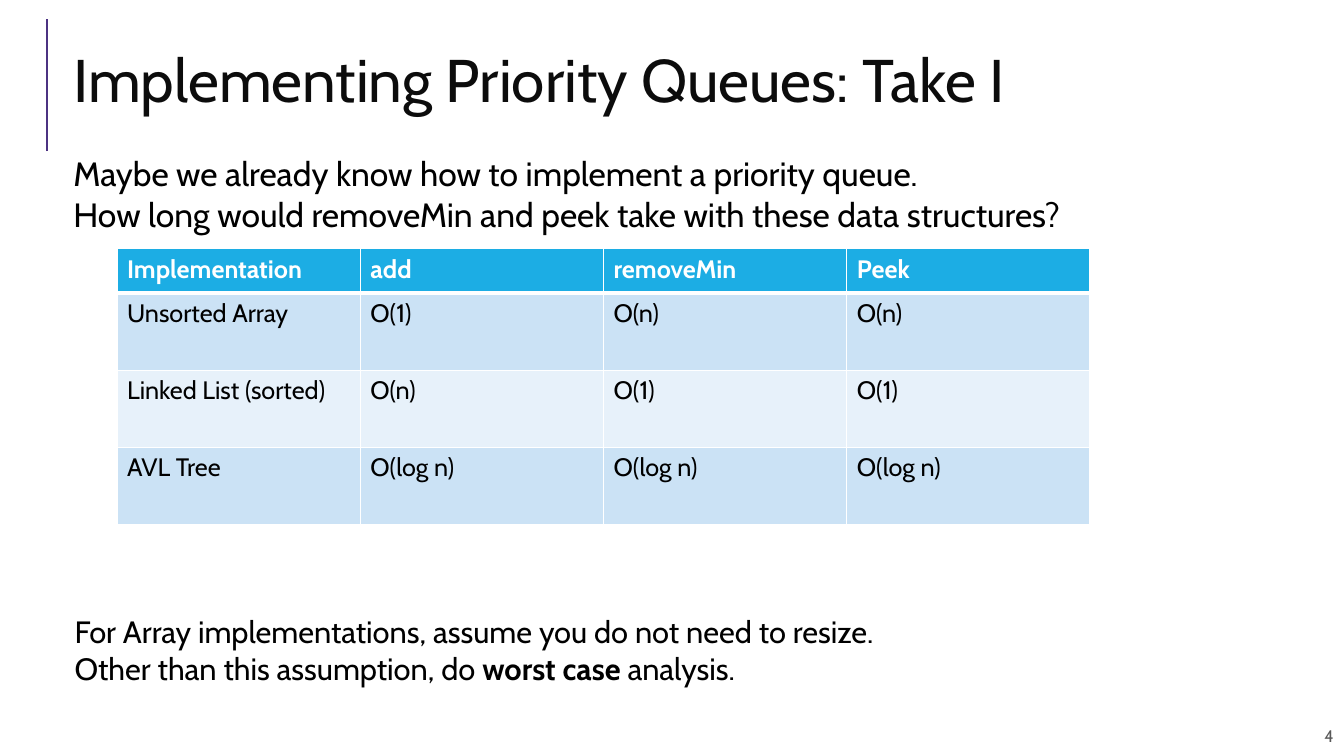
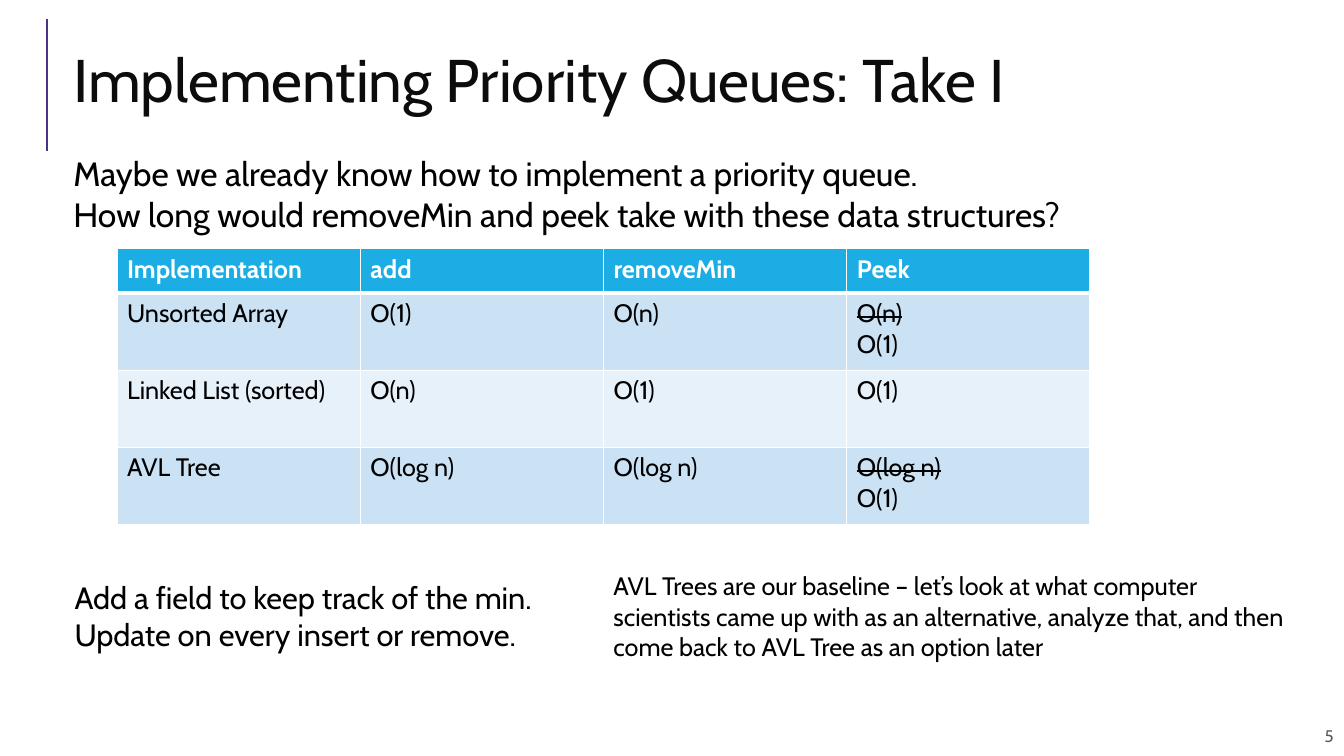
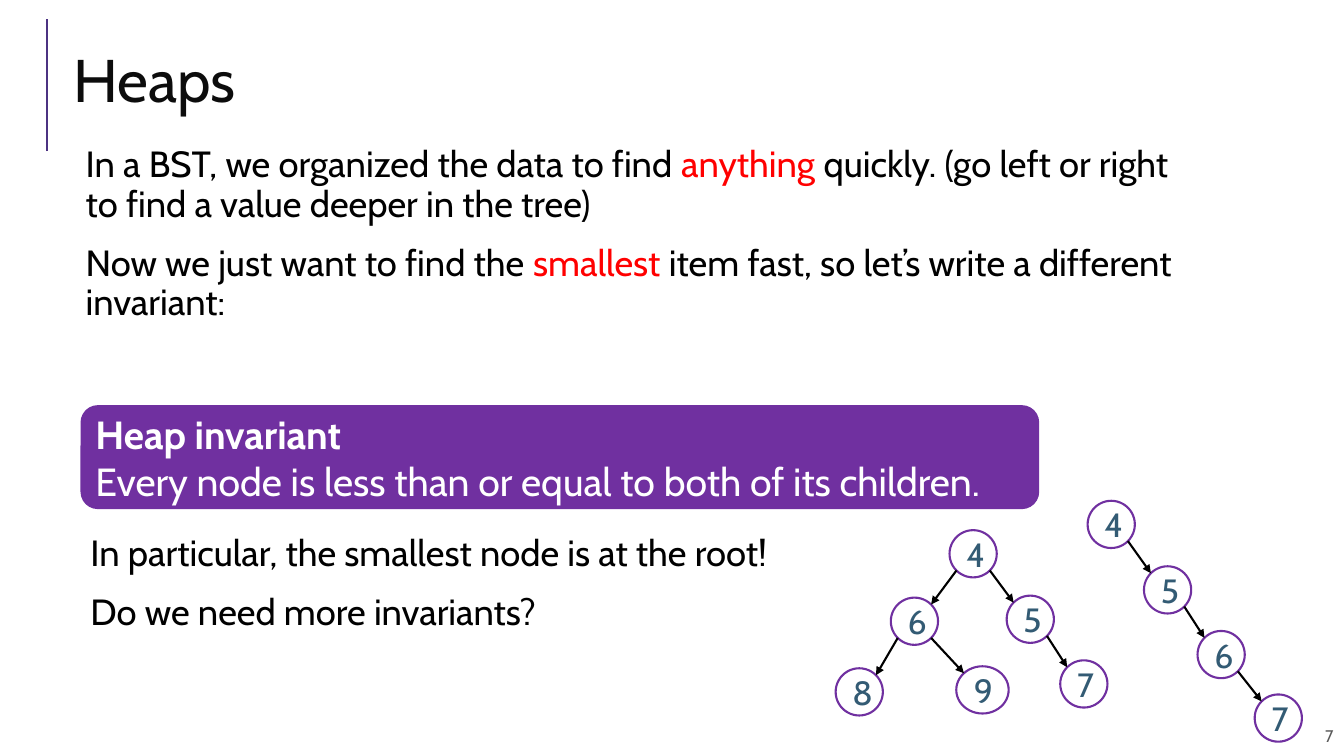
from dataclasses import dataclass
from math import sqrt
from typing import Optional

from lxml.etree import SubElement
from pptx import Presentation
from pptx.dml.color import RGBColor
from pptx.enum.shapes import MSO_CONNECTOR, MSO_SHAPE
from pptx.enum.text import MSO_ANCHOR, PP_ALIGN
from pptx.oxml.ns import qn
from pptx.util import Cm, Pt


@dataclass(frozen=True)
class Theme:
    font: str = "Cabin"
    black: str = "000000"
    white: str = "FFFFFF"
    title: str = "0C0C0C"
    number: str = "595959"
    accent_line: str = "4C3282"
    purple: str = "7030A0"
    node_text: str = "335B74"
    highlight: str = "FF0000"
    header: str = "1CADE4"
    bands: tuple = ("CBE2F5", "E7F1FA")
    title_size: float = 43
    callout_size: float = 28
    body_size: float = 26
    lead_size: float = 24
    remark_size: float = 22
    small_size: float = 18
    number_size: float = 12
    line_width: float = 1.5


@dataclass(frozen=True)
class Node:
    value: str
    left: float
    top: float
    parent: Optional[int] = None
    width: float = 1.19
    height: float = 1.19

    def corner(self, right, bottom):
        """Point on the circle halfway between two of its quarter points."""
        reach = sqrt(0.5) / 2
        return (self.left + self.width * (0.5 + (reach if right else -reach)),
                self.top + self.height * (0.5 + (reach if bottom else -reach)))


BOLD = {"bold": True}
STRUCK = {"strike": True}
RED = {"color": Theme.highlight}


class Slides:
    def __init__(self, theme):
        self.theme = theme
        self.deck = Presentation()
        self.deck.slide_width, self.deck.slide_height = Cm(33.87), Cm(19.05)
        self.page = None

    def new_page(self, title, number):
        theme = self.theme
        self.page = self.deck.slides.add_slide(self.deck.slide_layouts[6])
        self.line((1.19, 3.81), (1.19, 0.48), theme.accent_line)
        self.text((21.97, 18.03, 11.89, 1.02), [number], theme.number_size, theme.number,
                  inset=(0.25, 0.25), anchor=MSO_ANCHOR.MIDDLE, align=PP_ALIGN.RIGHT)
        self.text((1.6, 0.74, 31.06, 2.82), [title], theme.title_size, theme.title,
                  anchor=MSO_ANCHOR.MIDDLE, spacing=0.8)

    def style(self, span, size, color, bold=False, strike=False):
        font = span.font
        font.name, font.size, font.bold = self.theme.font, Pt(size), bold
        font.color.rgb = RGBColor.from_string(color)
        if strike:
            span._r.get_or_add_rPr().set("strike", "sngStrike")

    def set_paragraphs(self, frame, paragraphs, size, color,
                       align=None, spacing=None, before=None):
        """Each paragraph is a string or a list of strings and (string, style) pairs."""
        for index, content in enumerate(paragraphs):
            para = frame.add_paragraph() if index else frame.paragraphs[0]
            para.alignment = align or PP_ALIGN.LEFT
            if spacing:
                para.line_spacing = spacing
            if before:
                para.space_before = Pt(before)
            for part in [content] if isinstance(content, str) else content:
                words, extra = (part, {}) if isinstance(part, str) else part
                span = para.add_run()
                span.text = words
                self.style(span, **{"size": size, "color": color, **extra})

    def text(self, area, paragraphs, size, color=Theme.black, inset=(0.25, 0.13),
             anchor=MSO_ANCHOR.TOP, **layout):
        box = self.page.shapes.add_textbox(*map(Cm, area))
        frame = box.text_frame
        frame.word_wrap = True
        frame.vertical_anchor = anchor
        frame.margin_left = frame.margin_right = Cm(inset[0])
        frame.margin_top = frame.margin_bottom = Cm(inset[1])
        self.set_paragraphs(frame, paragraphs, size, color, **layout)

    def shape(self, kind, area, fill, paragraphs, size, color, outline=None, align=None):
        box = self.page.shapes.add_shape(kind, *map(Cm, area))
        box.shadow.inherit = False
        box.fill.solid()
        box.fill.fore_color.rgb = RGBColor.from_string(fill)
        if outline:
            box.line.color.rgb = RGBColor.from_string(outline)
            box.line.width = Pt(self.theme.line_width)
        else:
            box.line.fill.background()
        box.text_frame.vertical_anchor = MSO_ANCHOR.MIDDLE
        self.set_paragraphs(box.text_frame, paragraphs, size, color, align)

    def line(self, start, end, color, arrow=False):
        connector = self.page.shapes.add_connector(
            MSO_CONNECTOR.STRAIGHT, *map(Cm, start + end))
        connector.line.color.rgb = RGBColor.from_string(color)
        connector.line.width = Pt(self.theme.line_width)
        if arrow:
            SubElement(connector.get_or_add_ln(), qn("a:tailEnd"), type="triangle")
        SubElement(connector._element.spPr, qn("a:effectLst"))

    def cell_borders(self, cell, top, bottom):
        properties = cell._tc.get_or_add_tcPr()
        for side, width in (("L", 1), ("R", 1), ("T", top), ("B", bottom)):
            border = SubElement(properties, qn(f"a:ln{side}"), w=str(int(Pt(width))))
            fill = SubElement(border, qn("a:solidFill"))
            SubElement(fill, qn("a:srgbClr"), val=self.theme.white)

    def table(self, left, top, column_width, row_heights, rows):
        theme = self.theme
        columns = len(rows[0])
        table = self.page.shapes.add_table(
            len(rows), columns, Cm(left), Cm(top),
            Cm(column_width * columns), Cm(sum(row_heights))).table
        for column in table.columns:
            column.width = Cm(column_width)
        for row_index, row in enumerate(rows):
            table.rows[row_index].height = Cm(row_heights[row_index])
            header = row_index == 0
            fill = theme.header if header else theme.bands[(row_index - 1) % 2]
            for column_index, content in enumerate(row):
                cell = table.cell(row_index, column_index)
                self.cell_borders(cell, 3 if row_index == 1 else 1, 3 if header else 1)
                cell.fill.solid()
                cell.fill.fore_color.rgb = RGBColor.from_string(fill)
                paragraphs = [content] if isinstance(content, str) else content
                if header:
                    paragraphs = [[(content, BOLD)]]
                self.set_paragraphs(cell.text_frame, paragraphs, theme.small_size,
                                    theme.white if header else theme.black)

    def tree(self, nodes):
        theme = self.theme
        for node in nodes:
            self.shape(MSO_SHAPE.OVAL, (node.left, node.top, node.width, node.height),
                       theme.white, [node.value], theme.lead_size, theme.node_text,
                       outline=theme.purple, align=PP_ALIGN.CENTER)
            if node.parent is not None:
                parent = nodes[node.parent]
                goes_right = node.left > parent.left
                self.line(parent.corner(goes_right, True),
                          node.corner(not goes_right, False), theme.black, arrow=True)


def corrected(old, new):
    return [[(old, STRUCK)], new]


def comparison_page(slides, number, array_peek, avl_peek):
    slides.new_page("Implementing Priority Queues: Take I", number)
    slides.table(2.95, 6.27, 6.13, [1.12, 1.94, 1.94, 1.94], [
        ["Implementation", "add", "removeMin", "Peek"],
        ["Unsorted Array", "O(1)", "O(n)", array_peek],
        ["Linked List (sorted)", "O(n)", "O(1)", "O(1)"],
        ["AVL Tree", "O(log n)", "O(log n)", avl_peek],
    ])
    slides.text((1.6, 3.73, 30.3, 2.31), [
        "Maybe we already know how to implement a priority queue.",
        "How long would removeMin and peek take with these data structures?",
    ], slides.theme.lead_size)


def heaps_page(slides):
    theme = slides.theme
    spaced = {"spacing": 0.9, "before": 14}
    slides.new_page("Heaps", "7")
    slides.text((2.03, 3.56, 28.32, 5.26), [
        ["In a BST, we organized the data to find ", ("anything", RED),
         " quickly. (go left or right to find a value deeper in the tree)"],
        ["Now we just want to find the ", ("smallest", RED),
         " item fast, so let’s write a different invariant:"],
    ], theme.body_size, inset=(0.13, 0.13), **spaced)
    slides.shape(MSO_SHAPE.ROUNDED_RECTANGLE, (2.03, 10.21, 24.16, 2.62), theme.purple, [
        [("Heap invariant", BOLD)],
        "Every node is less than or equal to both of its children.",
    ], theme.callout_size, theme.white)
    slides.text((2.03, 13.23, 24.99, 3.51), [
        "In particular, the smallest node is at the root!",
        "Do we need more invariants?",
    ], theme.body_size, inset=(0.25, 0.25), **spaced)
    slides.tree([
        Node("4", 23.93, 13.36),
        Node("6", 22.45, 15.06, parent=0),
        Node("5", 25.37, 15.01, parent=0),
        Node("8", 21.06, 16.84, parent=1),
        Node("9", 24.1, 16.79, parent=1, width=1.32),
        Node("7", 26.72, 16.64, parent=2),
    ])
    slides.tree([
        Node("4", 27.41, 12.62),
        Node("5", 28.83, 14.27, parent=0),
        Node("6", 30.18, 15.9, parent=1),
        Node("7", 31.62, 17.5, parent=2),
    ])


def main():
    slides = Slides(Theme())
    theme = slides.theme

    comparison_page(slides, "4", "O(n)", "O(log n)")
    slides.text((1.63, 15.32, 30.25, 2.13), [
        "For Array implementations, assume you do not need to resize.",
        ["Other than this assumption, do ", ("worst case ", BOLD), "analysis."],
    ], theme.remark_size)

    comparison_page(slides, "5", corrected("O(n)", "O(1)"), corrected("O(log n)", "O(1)"))
    slides.text((1.63, 14.45, 30.25, 2.13), [
        "Add a field to keep track of the min.",
        "Update on every insert or remove.",
    ], theme.remark_size)
    slides.text((15.21, 14.25, 17.48, 2.57), [
        "AVL Trees are our baseline – let’s look at what computer scientists came up with "
        "as an alternative, analyze that, and then come back to AVL Tree as an option later",
    ], theme.small_size)

    heaps_page(slides)
    slides.deck.save("out.pptx")


if __name__ == "__main__":
    main()
